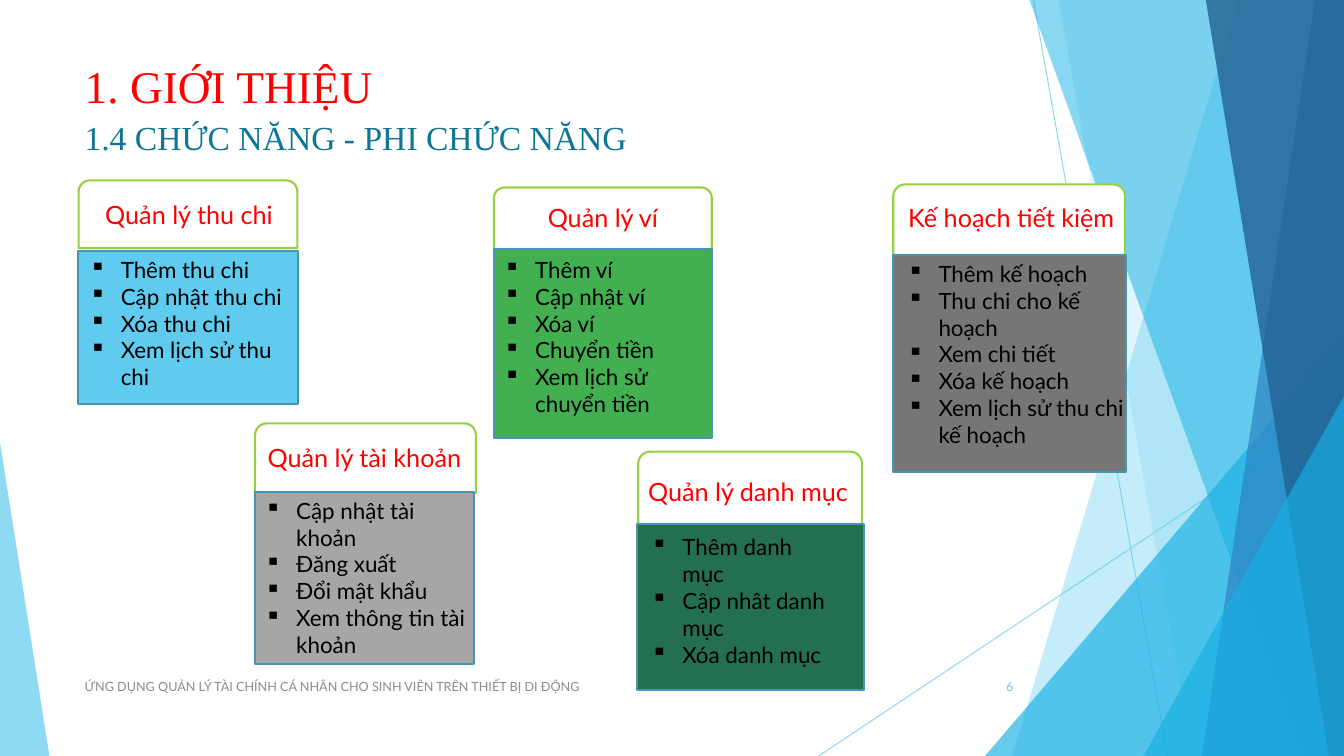
from pptx import Presentation
from pptx.dml.color import RGBColor
from pptx.enum import shapes, text
from pptx.oxml import ns, xmlchemy
from pptx.util import Inches, Pt

RED = RGBColor(0xFF, 0x00, 0x00)
BLACK = RGBColor(0x00, 0x00, 0x00)
WHITE = RGBColor(0xFF, 0xFF, 0xFF)
TEAL = RGBColor(0x0F, 0x76, 0x98)
GREY = RGBColor(0x8C, 0x8C, 0x8C)
SKY = RGBColor(0x5F, 0xCB, 0xEF)
CYAN = RGBColor(0x17, 0xB0, 0xE4)
BLUE = RGBColor(0x2E, 0x83, 0xC3)
NAVY = RGBColor(0x22, 0x62, 0x92)
LIME = RGBColor(0x96, 0xD1, 0x41)
STEEL = RGBColor(0x46, 0x96, 0xB1)

WIDTH, HEIGHT = 13.33, 7.5
INDENT = 0.31
SERIF, SANS = "Times New Roman", "Lato"

TITLE = "1. GIỚI THIỆU"
SUBTITLE = "1.4 CHỨC NĂNG - PHI CHỨC NĂNG"
FOOTER = "ỨNG DỤNG QUẢN LÝ TÀI CHÍNH CÁ NHÂN CHO SINH VIÊN TRÊN THIẾT BỊ DI ĐỘNG"
NUMBER = "6"

RAYS = [((10.25, 0), (11.58, HEIGHT)), ((WIDTH, 4.03), (8.12, HEIGHT))]
BAND, TRIANGLE = "band", "triangle"
FACETS = [
    (BAND, (12.28, 10.04), SKY, 36),
    (BAND, (10.5, 11.83), SKY, 20),
    (TRIANGLE, (9.77, 3.33, 3.56, 1), CYAN, 66),
    (BAND, (10.21, 12.91), CYAN, 50),
    (BAND, (13.04, 11.92), BLUE, 70),
    (BAND, (11.96, 13.18), NAVY, 80),
    (TRIANGLE, (11.34, 3.93, 1.99, 1), CYAN, 66),
    (TRIANGLE, (0, 4.39, 0.49, 0), SKY, 70),
]

CARDS = [
    dict(name="Quản lý thu chi", colour=RGBColor(0x5F, 0xCB, 0xEF),
         head=(0.78, 1.79, 2.17, 0.67), body=(0.77, 2.49, 2.19, 1.52),
         label=(0.78, 1.93, 2.19, 0.4), column=(0.79, 2.49, 2.17, 1.45),
         items=["Thêm thu chi", "Cập nhật thu chi", "Xóa thu chi", "Xem lịch sử thu chi"]),
    dict(name="Quản lý ví", colour=RGBColor(0x42, 0xB0, 0x51),
         head=(4.9, 1.86, 2.16, 0.62), body=(4.9, 2.47, 2.16, 1.88),
         label=(4.9, 1.96, 2.16, 0.4), column=(4.9, 2.49, 2.16, 1.72),
         items=["Thêm ví", "Cập nhật ví", "Xóa ví", "Chuyển tiền", "Xem lịch sử chuyển tiền"]),
    dict(name="Kế hoạch tiết kiệm", colour=RGBColor(0x76, 0x76, 0x76),
         head=(8.86, 1.83, 2.3, 0.7), body=(8.86, 2.53, 2.31, 2.15),
         label=(8.9, 1.96, 2.26, 0.4), column=(8.9, 2.53, 2.51, 1.98),
         items=["Thêm kế hoạch", "Thu chi cho kế hoạch", "Xem chi tiết", "Xóa kế hoạch",
                "Xem lịch sử thu chi kế hoạch"]),
    dict(name="Quản lý tài khoản", colour=RGBColor(0xA6, 0xA6, 0xA6),
         head=(2.53, 4.2, 2.19, 0.69), body=(2.53, 4.88, 2.17, 1.71),
         label=(2.53, 4.34, 2.17, 0.4), column=(2.53, 4.88, 2.33, 1.72),
         items=["Cập nhật tài khoản", "Đăng xuất", "Đổi mật khẩu", "Xem thông tin tài khoản"]),
    dict(name="Quản lý danh mục", colour=RGBColor(0x23, 0x6F, 0x50),
         head=(6.33, 4.48, 2.22, 0.72), body=(6.32, 5.2, 2.25, 1.65),
         label=(6.33, 4.68, 3.27, 0.71), column=(6.36, 5.24, 1.98, 1.45),
         align=text.PP_ALIGN.LEFT,
         items=["Thêm danh mục", "Cập nhât danh mục", "Xóa danh mục"]),
]


def inches(values):
    return [Inches(value) for value in values]


def set_opacity(element, percent):
    colour = next(element.iter(ns.qn("a:srgbClr")))
    alpha = xmlchemy.OxmlElement("a:alpha")
    alpha.set("val", str(percent * 1000))
    colour.append(alpha)


def add_ray(page, start, end):
    ray = page.shapes.add_connector(shapes.MSO_CONNECTOR.STRAIGHT, *inches(start + end))
    ray.line.color.rgb = SKY
    ray.line.width = Pt(0.75)
    set_opacity(ray.line._get_or_add_ln(), 70)
    ray._element.spPr.append(xmlchemy.OxmlElement("a:effectLst"))


def add_facet(page, kind, place, colour, opacity):
    if kind == BAND:
        top, bottom = place
        outline = page.shapes.build_freeform(Inches(top), 0)
        corners = [(WIDTH, 0), (WIDTH, HEIGHT), (bottom, HEIGHT)]
        outline.add_line_segments([inches(corner) for corner in corners], close=True)
        facet = outline.convert_to_shape()
    else:
        left, top, width, apex = place
        facet = page.shapes.add_shape(shapes.MSO_SHAPE.ISOSCELES_TRIANGLE,
                                      *inches((left, top, width, HEIGHT - top)))
        facet.adjustments[0] = apex
    facet.shadow.inherit = False
    facet.line.fill.background()
    facet.fill.solid()
    facet.fill.fore_color.rgb = colour
    set_opacity(facet._element.spPr, opacity)


def add_panel(page, kind, place, fill, line):
    panel = page.shapes.add_shape(kind, *inches(place))
    panel.shadow.inherit = False
    panel.fill.solid()
    panel.fill.fore_color.rgb = fill
    panel.line.color.rgb = line
    panel.line.width = Pt(1.5)


def add_bullet(para):
    props = para._p.get_or_add_pPr()
    props.set("marL", str(Inches(INDENT)))
    props.set("indent", str(-Inches(INDENT)))
    bullet = xmlchemy.OxmlElement("a:buChar")
    bullet.set("char", "▪")
    props.append(bullet)


def write(box, lines, font, size, colour, align=text.PP_ALIGN.LEFT,
          anchor=text.MSO_ANCHOR.TOP, bullets=False):
    frame = box.text_frame
    frame.word_wrap = True
    frame.auto_size = text.MSO_AUTO_SIZE.NONE
    frame.vertical_anchor = anchor
    for index, line in enumerate(lines):
        para = frame.paragraphs[0] if index == 0 else frame.add_paragraph()
        para.alignment = align
        if bullets:
            add_bullet(para)
        span = para.add_run()
        span.text = line
        span.font.name = font
        span.font.size = Pt(size)
        span.font.color.rgb = colour


def add_text(page, place, lines, *style, **options):
    write(page.shapes.add_textbox(*inches(place)), lines, *style, **options)


def add_card(page, card):
    add_panel(page, shapes.MSO_SHAPE.ROUND_2_SAME_RECTANGLE, card["head"], WHITE, LIME)
    add_panel(page, shapes.MSO_SHAPE.RECTANGLE, card["body"], card["colour"], STEEL)
    add_text(page, card["label"], [card["name"]], SANS, 18, RED,
             align=card.get("align", text.PP_ALIGN.CENTER))
    add_text(page, card["column"], card["items"], SANS, 16, BLACK, bullets=True)


def main():
    deck = Presentation()
    deck.slide_width, deck.slide_height = inches((WIDTH, HEIGHT))
    page = deck.slides.add_slide(deck.slide_layouts[5])
    for start, end in RAYS:
        add_ray(page, start, end)
    for facet in FACETS:
        add_facet(page, *facet)

    title = page.shapes.title
    title.left, title.top, title.width, title.height = inches((0.74, 0.53, 9.4, 0.59))
    write(title, [TITLE], SERIF, 32.4, RED)
    add_text(page, (0.74, 1.11, 5.77, 0.5), [SUBTITLE], SERIF, 24, TEAL)
    middle = text.MSO_ANCHOR.MIDDLE
    add_text(page, (0.74, 6.61, 6.89, 0.4), [FOOTER], SANS, 9, GREY, anchor=middle)
    add_text(page, (9.4, 6.61, 0.75, 0.4), [NUMBER], SANS, 9, SKY,
             align=text.PP_ALIGN.RIGHT, anchor=middle)
    for card in CARDS:
        add_card(page, card)
    deck.save("out.pptx")


if __name__ == "__main__":
    main()
